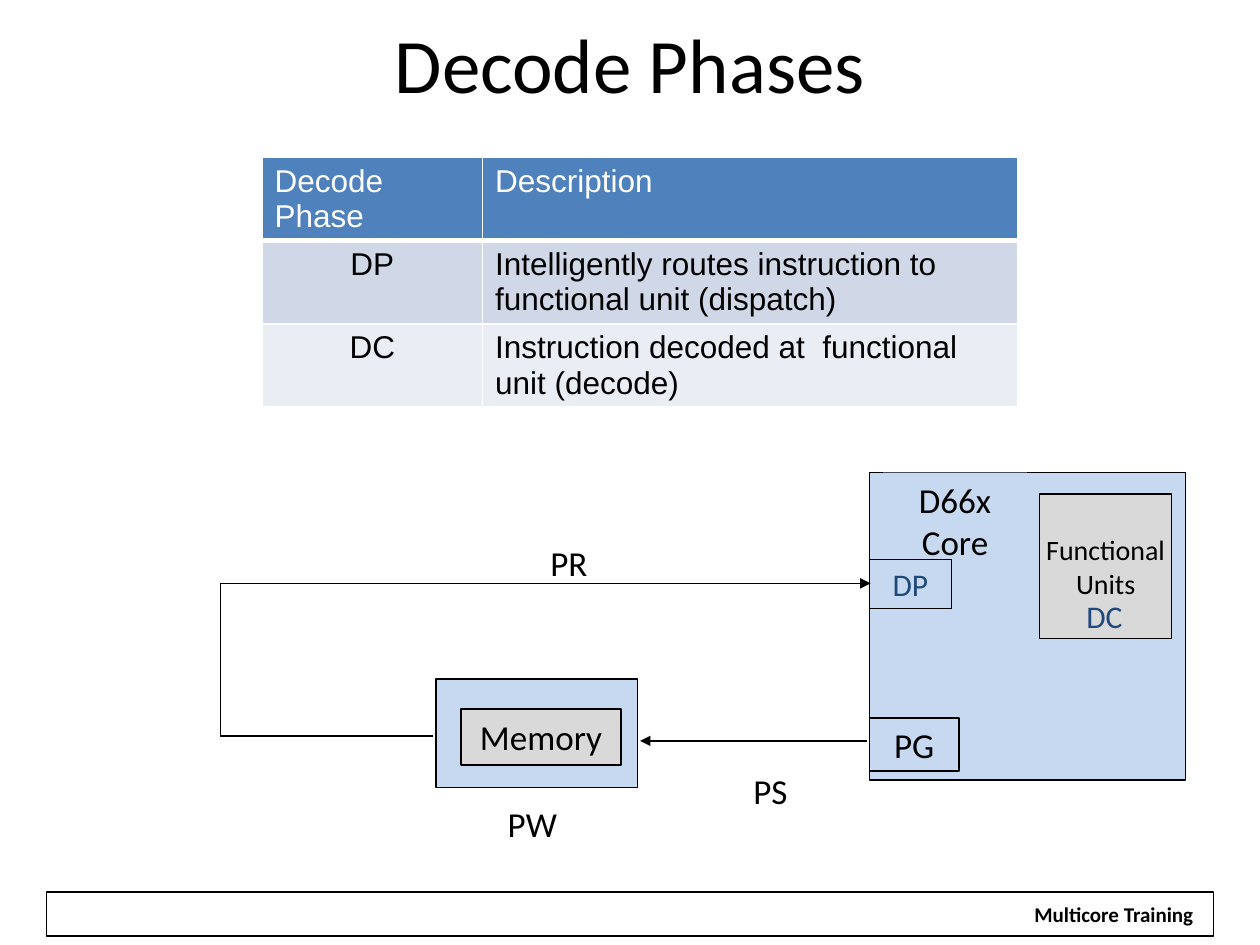
from dataclasses import dataclass
from typing import Optional

from lxml.etree import SubElement
from pptx import Presentation
from pptx.dml.color import RGBColor
from pptx.enum.shapes import MSO_CONNECTOR, MSO_SHAPE
from pptx.enum.text import MSO_ANCHOR as Anchor, PP_ALIGN as Align
from pptx.oxml.ns import qn
from pptx.util import Pt

PX = 9144  # 100 px to the inch
COLORS = {
    "black": "000000", "white": "FFFFFF", "navy": "1F497D",
    "light_blue": "C6D9F1", "gray": "D9D9D9",
    "header": "4F81BD", "band_dark": "D0D8E8", "band_light": "E9EDF4",
}


@dataclass
class Box:
    x: int
    y: int
    w: int
    h: int
    text: str = ""
    size: int = 20
    color: str = "black"
    fill: Optional[str] = None
    line: Optional[float] = None
    bold: bool = False
    wrap: bool = True
    anchor: Anchor = Anchor.TOP
    margin_x: int = 9
    margin_y: int = 4


def rgb(name: str) -> RGBColor:
    return RGBColor.from_string(COLORS[name])


def px(*values: int) -> list[int]:
    return [v * PX for v in values]


def style_text(tf, size: int, color: str, font: str, align: Align, bold: bool = False) -> None:
    for p in tf.paragraphs:
        p.alignment = align
        for r in p.runs:
            r.font.name, r.font.size, r.font.bold = font, Pt(size), bold
            r.font.color.rgb = rgb(color)


def draw_box(slide, box: Box) -> None:
    place = px(box.x, box.y, box.w, box.h)
    if box.fill or box.line:
        sp = slide.shapes.add_shape(MSO_SHAPE.RECTANGLE, *place)
        sp.shadow.inherit = False
    else:
        sp = slide.shapes.add_textbox(*place)
    if box.fill:
        sp.fill.solid()
        sp.fill.fore_color.rgb = rgb(box.fill)
    else:
        sp.fill.background()
    if box.line:
        sp.line.color.rgb = rgb("black")
        sp.line.width = Pt(box.line)
    else:
        sp.line.fill.background()
    if box.text:
        tf = sp.text_frame
        tf.text = box.text
        tf.word_wrap, tf.vertical_anchor = box.wrap, box.anchor
        tf.margin_left = tf.margin_right = box.margin_x * PX
        tf.margin_top = tf.margin_bottom = box.margin_y * PX
        style_text(tf, box.size, box.color, "Calibri", Align.CENTER, box.bold)


def style_arrow(sp) -> None:
    sp.line.color.rgb = rgb("black")
    sp.line.width = Pt(1)
    SubElement(sp.line._get_or_add_ln(), qn("a:tailEnd"), type="triangle")


def draw_arrow(slide, x1: int, y1: int, x2: int, y2: int) -> None:
    sp = slide.shapes.add_connector(MSO_CONNECTOR.STRAIGHT, *px(x1, y1, x2, y2))
    style_arrow(sp)
    SubElement(sp._element.spPr, qn("a:effectLst"))


def draw_path_arrow(slide, points: list[tuple[int, int]]) -> None:
    builder = slide.shapes.build_freeform(*points[0], scale=PX)
    builder.add_line_segments(points[1:], close=False)
    sp = builder.convert_to_shape()
    sp.shadow.inherit = False
    sp.fill.background()
    style_arrow(sp)


def style_cell(cell, fill: str, color: str, align: Align, bottom: int) -> None:
    tcPr = cell._tc.get_or_add_tcPr()
    for side, width in zip("LRTB", (1, 1, 1, bottom)):
        ln = SubElement(tcPr, qn(f"a:ln{side}"), w=str(Pt(width)))
        SubElement(SubElement(ln, qn("a:solidFill")), qn("a:srgbClr"), val=COLORS["white"])
    cell.fill.solid()
    cell.fill.fore_color.rgb = rgb(fill)
    style_text(cell.text_frame, 18, color, "Arial", align)


def draw_table(slide) -> None:
    rows = [
        ("Decode Phase", "Description"),
        ("DP", "Intelligently routes instruction to functional unit (dispatch)"),
        ("DC", "Instruction decoded at  functional unit (decode)"),
    ]
    fills = ["header", "band_dark", "band_light"]
    row_h = 66
    table = slide.shapes.add_table(3, 2, *px(208, 125, 600, 3 * row_h)).table
    for column, width in zip(table.columns, px(175, 425)):
        column.width = width
    for i, (texts, fill) in enumerate(zip(rows, fills)):
        table.rows[i].height = row_h * PX
        for j, text in enumerate(texts):
            cell = table.cell(i, j)
            cell.text = text
            style_cell(cell, fill, "black" if i else "white",
                       Align.CENTER if i and j == 0 else Align.LEFT, 1 if i else 3)


def main() -> None:
    prs = Presentation()
    prs.slide_width, prs.slide_height = px(1000, 750)
    slide = prs.slides.add_slide(prs.slide_layouts[5])

    # Footer bar
    draw_box(slide, Box(37, 708, 926, 35, line=0.75))
    draw_box(slide, Box(810, 711, 148, 30, "Multicore Training", 12, fill="white",
                        bold=True, wrap=False, margin_x=10, margin_y=5))

    # Title
    title = slide.shapes.title
    title.left, title.top, title.width, title.height = px(50, 8, 900, 83)
    title.text_frame.text = "Decode Phases"
    title.text_frame.vertical_anchor = Anchor.MIDDLE
    style_text(title.text_frame, 44, "black", "Calibri", Align.CENTER)

    draw_table(slide)

    # Core and memory blocks, back to front
    for box in [
        Box(390, 633, 65, 42, "PW"),
        Box(690, 375, 251, 244, fill="light_blue", line=1),
        Box(701, 375, 114, 81, "D66x\vCore", fill="light_blue", margin_x=10, margin_y=5),
        Box(579, 607, 65, 42, "PS"),
        Box(346, 539, 160, 86, fill="light_blue", line=1),
        Box(366, 563, 127, 44, "Memory", fill="gray", line=1, margin_x=10, margin_y=5),
        Box(419, 426, 65, 42, "PR"),
    ]:
        draw_box(slide, box)

    # Program bus arrows
    draw_arrow(slide, 688, 588, 508, 588)
    draw_path_arrow(slide, [(344, 584), (175, 584), (175, 463), (691, 463)])

    # Stages inside the core
    for box in [
        Box(690, 570, 71, 42, "PG", line=1),
        Box(825, 392, 105, 115, "Functional\nUnits", 16, fill="gray", line=0.75,
            wrap=False, anchor=Anchor.MIDDLE, margin_x=10, margin_y=5),
        Box(690, 444, 65, 39, "DP", 18, "navy", line=0.75),
        Box(831, 470, 91, 39, "DC", 18, "navy"),
    ]:
        draw_box(slide, box)

    prs.save("out.pptx")


if __name__ == "__main__":
    main()
